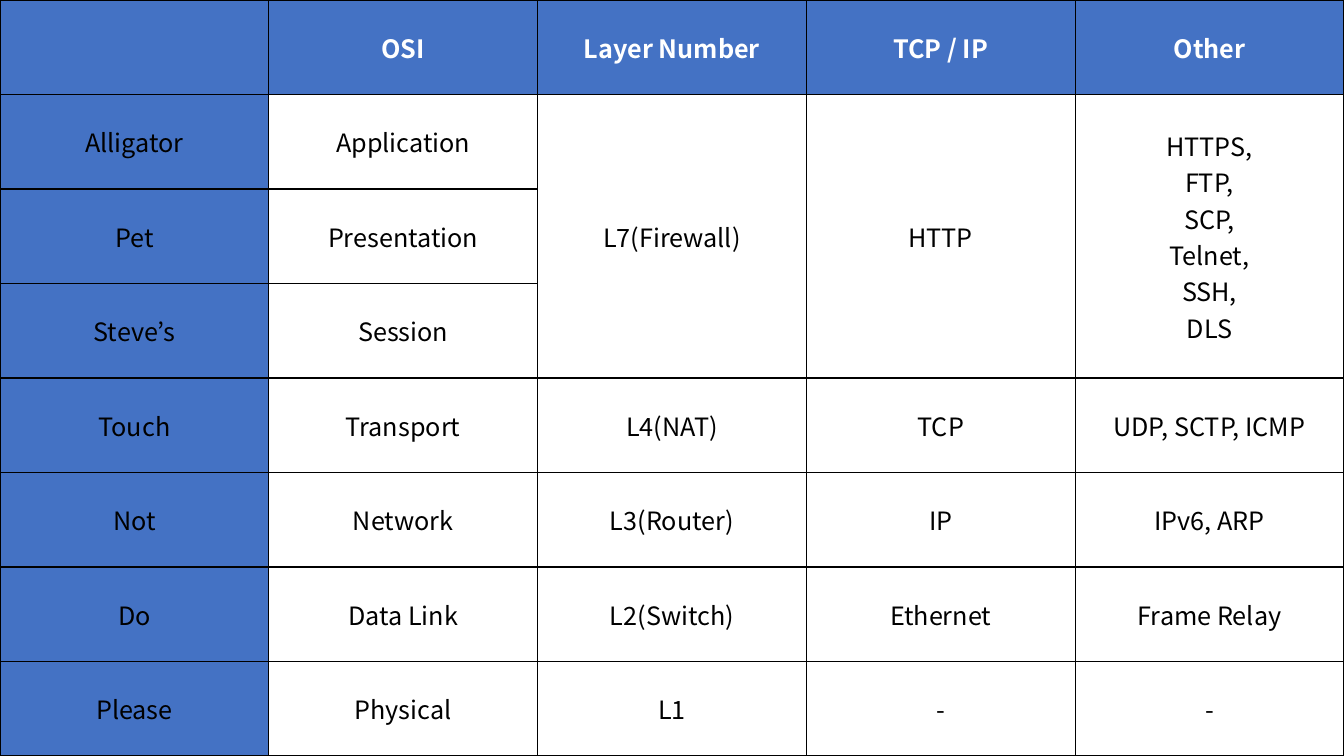
from lxml.etree import SubElement
from pptx import Presentation
from pptx.dml.color import RGBColor
from pptx.enum.text import MSO_ANCHOR as Anchor, PP_ALIGN as Align
from pptx.oxml.ns import qn
from pptx.util import Inches, Pt

COLORS = {"label": "4472C4", "body": "FFFFFF", "heading": "FFFFFF", "text": "000000", "border": "000000"}
FONT = "Noto Sans CJK KR"
SLIDE_WIDTH, SLIDE_HEIGHT = 13.33, 7.5
MERGED_LAYERS = (1, 3)
MERGED_COLUMNS = (2, 3, 4)

LAYERS = [
    ["", "OSI", "Layer Number", "TCP / IP", "Other"],
    ["Alligator", "Application", "L7(Firewall)", "HTTP", "HTTPS,\nFTP,\nSCP,\nTelnet,\nSSH,\nDLS"],
    ["Pet", "Presentation", "", "", ""],
    ["Steve’s", "Session", "", "", ""],
    ["Touch", "Transport", "L4(NAT)", "TCP", "UDP, SCTP, ICMP"],
    ["Not", "Network", "L3(Router)", "IP", "IPv6, ARP"],
    ["Do", "Data Link", "L2(Switch)", "Ethernet", "Frame Relay"],
    ["Please", "Physical", "L1", "-", "-"],
]


def color(name):
    return RGBColor.from_string(COLORS[name])


def add_borders(cell):
    properties = cell._tc.get_or_add_tcPr()
    for side in ("a:lnL", "a:lnR", "a:lnT", "a:lnB"):
        border = SubElement(properties, qn(side), w=str(Pt(1)))
        fill = SubElement(border, qn("a:solidFill"))
        SubElement(fill, qn("a:srgbClr"), val=COLORS["border"])


def write_cell(cell, words, is_heading):
    cell.vertical_anchor = Anchor.MIDDLE
    for index, line in enumerate(words.split("\n")):
        paragraph = cell.text_frame.paragraphs[0] if index == 0 else cell.text_frame.add_paragraph()
        paragraph.alignment = Align.CENTER
        run = paragraph.add_run()
        run.text = line
        run.font.name = FONT
        run.font.size = Pt(18)
        run.font.bold = is_heading
        run.font.color.rgb = color("heading" if is_heading else "text")


def add_layer_table(slide, left, top, width, height):
    frame = slide.shapes.add_table(
        len(LAYERS), len(LAYERS[0]), Inches(left), Inches(top), Inches(width), Inches(height)
    )
    layers = frame.table
    layers.horz_banding = False
    for row, entries in enumerate(LAYERS):
        for column, words in enumerate(entries):
            cell = layers.cell(row, column)
            add_borders(cell)
            cell.fill.solid()
            cell.fill.fore_color.rgb = color("label" if row == 0 or column == 0 else "body")
            if words:
                write_cell(cell, words, row == 0)
    first, last = MERGED_LAYERS
    for column in MERGED_COLUMNS:
        layers.cell(first, column).merge(layers.cell(last, column))


def main():
    deck = Presentation()
    deck.slide_width = Inches(SLIDE_WIDTH)
    deck.slide_height = Inches(SLIDE_HEIGHT)
    slide = deck.slides.add_slide(deck.slide_layouts[6])
    add_layer_table(slide, 0, 0, SLIDE_WIDTH, SLIDE_HEIGHT)
    deck.save("out.pptx")


if __name__ == "__main__":
    main()
